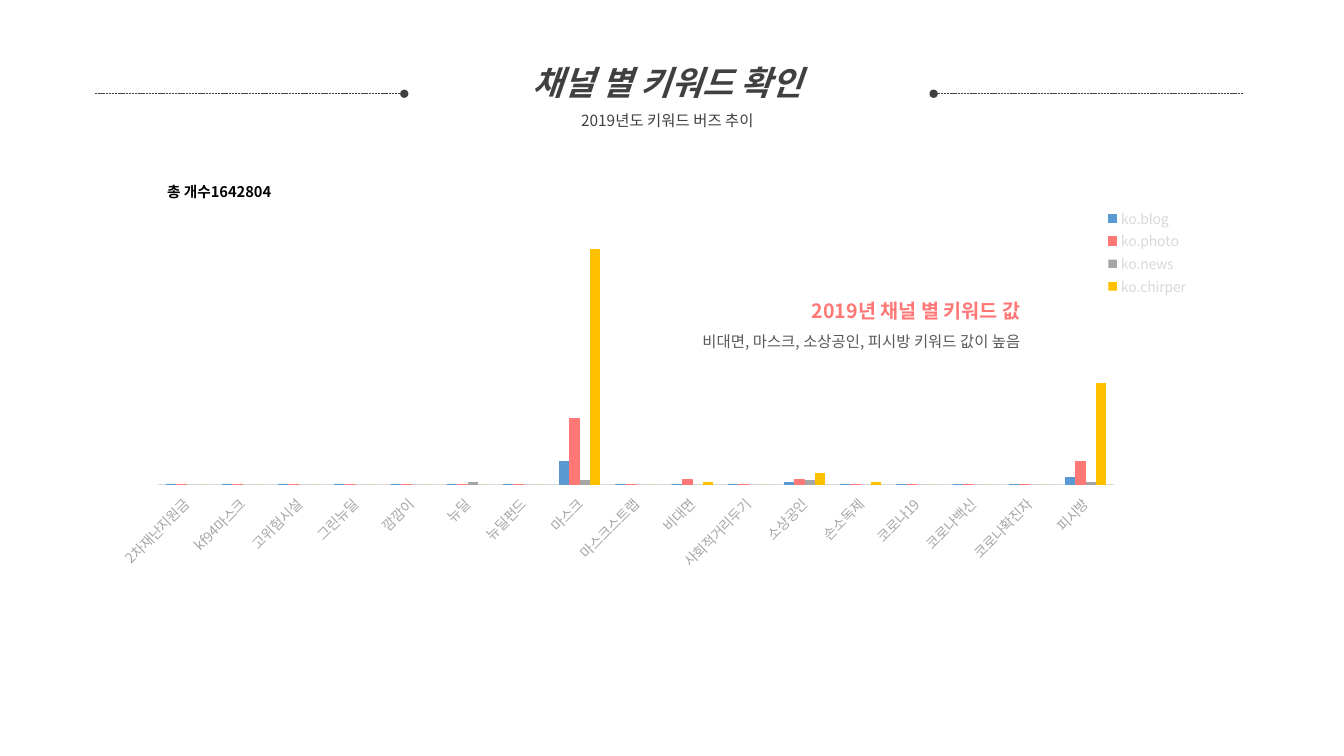
from lxml.etree import SubElement
from pptx import Presentation
from pptx.chart.data import CategoryChartData
from pptx.dml.color import RGBColor
from pptx.enum.chart import XL_CHART_TYPE as ChartType, XL_LEGEND_POSITION as LegendPos
from pptx.enum.chart import XL_TICK_LABEL_POSITION as LabelPos, XL_TICK_MARK as Tick
from pptx.enum.dml import MSO_LINE
from pptx.enum.shapes import MSO_CONNECTOR
from pptx.enum.text import MSO_AUTO_SIZE as AutoSize, PP_ALIGN as Align
from pptx.oxml import parse_xml
from pptx.oxml.ns import nsdecls, qn
from pptx.util import Inches, Pt

FONT = "Noto Sans CJK KR"
DARK, CORAL, PALE = "404040", "FF7876", "D9D9D9"

KEYWORDS = ["2차재난지원금", "kf94마스크", "고위험시설", "그린뉴딜", "깜깜이", "뉴딜",
            "뉴딜펀드", "마스크", "마스크스트랩", "비대면", "사회적거리두기", "소상공인",
            "손소독제", "코로나19", "코로나백신", "코로나확진자", "피시방"]
# Channel: fill, outline, and the keywords whose value is not zero
CHANNELS = {
    "ko.blog": ("599AD5", True, {"마스크": 10, "소상공인": 1, "피시방": 3}),
    "ko.photo": (CORAL, True, {"마스크": 28, "비대면": 2, "소상공인": 2, "피시방": 10}),
    "ko.news": ("A5A5A5", False, {"뉴딜": 1, "마스크": 2, "소상공인": 2, "피시방": 1}),
    "ko.chirper": ("FFC000", False, {"마스크": 100, "비대면": 1, "소상공인": 5,
                                     "손소독제": 1, "피시방": 43}),
}


def rgb(value):
    return RGBColor.from_string(value)


def style(font, size, color, bold=False, italic=False):
    font.name, font.size, font.bold, font.italic = FONT, Pt(size), bold, italic
    font.color.rgb = rgb(color)


def add_text(slide, box, lines, align=Align.LEFT, spacing=1.0, wrap=True):
    """Each line is (text, size, color, bold, italic)."""
    frame = slide.shapes.add_textbox(*map(Inches, box)).text_frame
    frame.word_wrap = wrap
    frame.auto_size = AutoSize.SHAPE_TO_FIT_TEXT
    for index, (text, *look) in enumerate(lines):
        paragraph = frame.paragraphs[0] if index == 0 else frame.add_paragraph()
        paragraph.alignment, paragraph.line_spacing = align, spacing
        run = paragraph.add_run()
        run.text = text
        style(run.font, *look)
        SubElement(run.font._element, qn("a:ea"), typeface=FONT)


def add_rule(slide, start, end, y):
    rule = slide.shapes.add_connector(
        MSO_CONNECTOR.STRAIGHT, *map(Inches, (start, y, end, y)))
    rule.line.color.rgb = rgb(DARK)
    rule.line.width = Pt(0.5)
    rule.line.dash_style = MSO_LINE.SQUARE_DOT
    SubElement(rule.line._get_or_add_ln(), qn("a:tailEnd"), type="oval")
    SubElement(rule._element.spPr, qn("a:effectLst"))


def add_header(slide, box):
    left, top, width, height = box
    rule_y, rule_length = top + 0.57, 3.07
    # Dotted rules that end in a dot on each side of the title
    add_rule(slide, left, left + rule_length, rule_y)
    add_rule(slide, left + width, left + width - rule_length, rule_y)
    # Title and subtitle
    title_inset = rule_length + 0.03
    add_text(slide, (left + title_inset, top, 5.16, height),
             [("채널 별 키워드 확인", 24, DARK, True, True),
              ("2019년도 키워드 버즈 추이", 11, DARK)], Align.CENTER, 1.5)


def set_layout(part, x, y, w, h, inner=False):
    target = '<c:layoutTarget val="inner"/>' if inner else ""
    shares = "".join(f'<c:{tag} val="{share}"/>'
                     for tag, share in zip("xywh", (x, y, w, h)))
    layout = parse_xml(
        f'<c:layout {nsdecls("c")}><c:manualLayout>{target}<c:xMode val="edge"/>'
        f'<c:yMode val="edge"/>{shares}</c:manualLayout></c:layout>')
    for old in part.findall(qn("c:layout")):
        part.remove(old)
    before = part.find(qn("c:legendPos"))
    part.insert(0 if before is None else part.index(before) + 1, layout)


def add_keyword_chart(slide, box):
    data = CategoryChartData()
    data.categories = KEYWORDS
    for channel, (_, _, counts) in CHANNELS.items():
        data.add_series(channel, [counts.get(word, 0) for word in KEYWORDS])
    chart = slide.shapes.add_chart(
        ChartType.COLUMN_CLUSTERED, *map(Inches, box), data).chart
    chart.has_title = False
    style(chart.font, 10, PALE)

    # Columns
    plot = chart.plots[0]
    plot.gap_width, plot.overlap, plot.vary_by_categories = 150, 0, False
    for series, (color, outlined, _) in zip(plot.series, CHANNELS.values()):
        series.format.fill.solid()
        series.format.fill.fore_color.rgb = rgb(color)
        if outlined:
            series.format.line.color.rgb = rgb(color)
            series.format.line.width = Pt(0.75)
        else:
            series.format.line.fill.background()

    # Axes
    values = chart.value_axis
    values.minimum_scale, values.maximum_scale = 0, 118
    values.has_major_gridlines = values.visible = False
    words = chart.category_axis
    words.major_tick_mark = words.minor_tick_mark = Tick.NONE
    words.tick_label_position = LabelPos.LOW
    words.format.line.color.rgb = rgb(PALE)
    words.format.line.width = Pt(0.75)
    style(words.tick_labels.font, 10, "A6A6A6")
    words._element.find(qn("c:txPr")).find(qn("a:bodyPr")).set("rot", "-2700000")
    for font in (chart.font, words.tick_labels.font):
        SubElement(font._element, qn("a:ea"), typeface=FONT)

    # Legend and plot placement, as shares of the chart
    chart.has_legend = True
    chart.legend.position = LegendPos.RIGHT
    chart.legend.include_in_layout = False
    set_layout(chart.legend._element, 0.92, 0.04, 0.08, 0.2)
    set_layout(plot._element.getparent(), 0.07, 0.04, 0.86, 0.6, inner=True)


def add_findings(slide, box):
    left, top, width, height = box
    # Total count above the chart
    add_text(slide, (left + 0.76, top - 0.1, 1.31, 0.28),
             [("총 개수1642804", 10.5, "000000", True)], wrap=False)
    # Key finding over the chart
    add_text(slide, (left + 5.24, top + 0.94, 4.18, 0.73),
             [("2019년 채널 별 키워드 값", 14, CORAL, True),
              ("비대면, 마스크, 소상공인, 피시방 키워드 값이 높음", 11, "595959")],
             Align.RIGHT, 1.5)


deck = Presentation()
deck.slide_width, deck.slide_height = Inches(13.33), Inches(7.5)
keyword_slide = deck.slides.add_slide(deck.slide_layouts[6])
chart_box = (0.8, 1.86, 11.02, 4.61)
add_header(keyword_slide, (0.94, 0.36, 11.39, 0.98))
add_keyword_chart(keyword_slide, chart_box)
add_findings(keyword_slide, chart_box)
deck.save("out.pptx")
